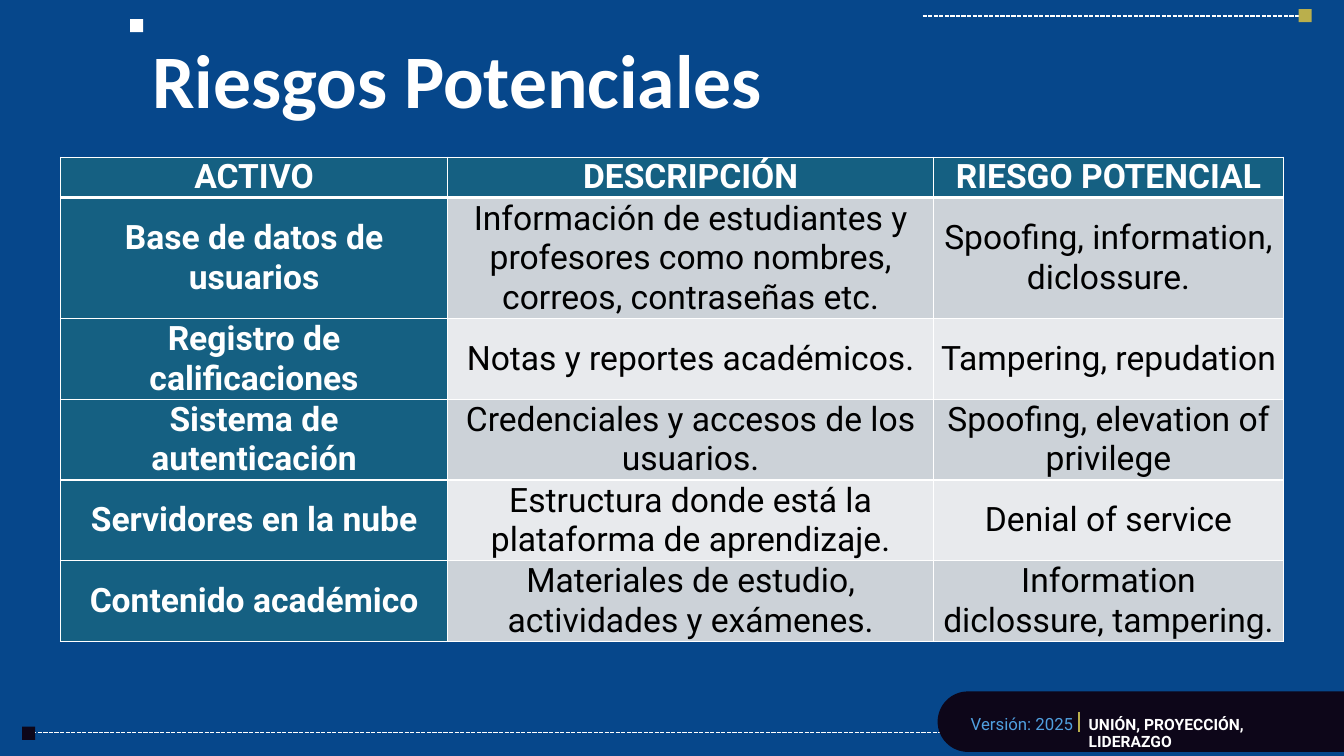
"""Builds the slide on potential risks of a learning platform."""
from math import cos, pi, sin

from lxml.etree import SubElement
from pptx import Presentation
from pptx.dml.color import RGBColor
from pptx.enum.dml import MSO_LINE
from pptx.enum.shapes import MSO_CONNECTOR, MSO_SHAPE
from pptx.enum.text import MSO_ANCHOR, MSO_AUTO_SIZE, PP_ALIGN
from pptx.oxml.ns import qn
from pptx.util import Inches, Pt

HUES = {
    "blue": "06478B", "white": "FFFFFF", "dark": "0D0619", "gold": "BAAF4C",
    "sky": "50A0E0", "teal": "156082", "odd": "CCD2D8", "even": "E8EAED",
    "black": "000000",
}
ROWS = [
    ("ACTIVO", "DESCRIPCIÓN", "RIESGO POTENCIAL"),
    ("Base de datos de usuarios",
     "Información de estudiantes y profesores como nombres, correos, contraseñas etc.",
     "Spoofing, information, diclossure."),
    ("Registro de calificaciones", "Notas y reportes académicos.",
     "Tampering, repudation"),
    ("Sistema de autenticación", "Credenciales y accesos de los usuarios.",
     "Spoofing, elevation of privilege"),
    ("Servidores en la nube", "Estructura donde está la plataforma de aprendizaje.",
     "Denial of service"),
    ("Contenido académico", "Materiales de estudio, actividades y exámenes.",
     "Information diclossure, tampering."),
]
WIDTHS = [3.84, 4.82, 3.47]
HEIGHTS = [0.39, 1.17] + [0.78] * 4


def hue(name):
    """Return the named colour."""
    return RGBColor.from_string(HUES[name])


def assign(item, values):
    """Set each attribute of the item from a dict."""
    for key, value in values.items():
        setattr(item, key, value)


def write(frame, text, size, color, face="Roboto", bold=False, **para):
    """Put one formatted paragraph in a text frame."""
    line = frame.paragraphs[0]
    line.text = text
    assign(line, para)
    font = line.runs[0].font
    assign(font, {"size": Pt(size), "name": face, "bold": bold})
    font.color.rgb = hue(color)


def paint(shape, color):
    """Give a shape a plain fill with no line or shadow."""
    shape.shadow.inherit = False
    shape.fill.solid()
    shape.fill.fore_color.rgb = hue(color)
    shape.line.fill.background()


def square(slide, left, top, color):
    """Add a small square mark."""
    box = [Inches(n) for n in (left, top, 0.13, 0.13)]
    paint(slide.shapes.add_shape(MSO_SHAPE.RECTANGLE, *box), color)


def rule(slide, ends, color, width, dash=None):
    """Add a straight line."""
    line = slide.shapes.add_connector(MSO_CONNECTOR.STRAIGHT, *map(Inches, ends))
    line.line.color.rgb = hue(color)
    assign(line.line, {"width": Pt(width), "dash_style": dash})
    SubElement(line._element.spPr, qn("a:effectLst"))


def panel(slide):
    """Add the footer panel with its round left end."""
    turns = [pi / 2 + pi * step / 32 for step in range(33)]
    arc = [(9.6 + 0.3 * cos(t), 7.16 - 0.3 * sin(t)) for t in turns]
    points = [(Inches(x), Inches(y)) for x, y in arc + [(13.33, 7.46)]]
    form = slide.shapes.build_freeform(Inches(13.33), Inches(6.86))
    form.add_line_segments(points)
    paint(form.convert_to_shape(), "dark")


def label(slide, box, *args, **kinds):
    """Add a wrapped text box."""
    frame = slide.shapes.add_textbox(*map(Inches, box)).text_frame
    frame.word_wrap = True
    write(frame, *args, line_spacing=0.9, **kinds)


def edge(cell, side, width):
    """Add a white border to one side of a cell."""
    props = cell._tc.get_or_add_tcPr()
    line = SubElement(props, qn(f"a:ln{side}"), w=str(Pt(width)))
    fill = SubElement(line, qn("a:solidFill"))
    SubElement(fill, qn("a:srgbClr"), val=HUES["white"])


def fill_cell(cell, text, row, col):
    """Format one cell by its place in the table."""
    head = row == 0 or col == 0
    thick = {(0, "B"), (1, "T")}
    for side in "LRTB":
        edge(cell, side, 3 if (row, side) in thick else 1)
    assign(cell, {
        "margin_left": Inches(0.07), "margin_right": Inches(0.07),
        "margin_top": 0, "margin_bottom": 0,
        "vertical_anchor": MSO_ANCHOR.MIDDLE,
    })
    cell.fill.solid()
    cell.fill.fore_color.rgb = hue("teal" if head else "odd" if row % 2 else "even")
    write(cell.text_frame, text, 24, "white" if head else "black", bold=head,
          alignment=PP_ALIGN.CENTER, space_after=Pt(8))


def risks(slide):
    """Add the table of assets and risks."""
    box = map(Inches, (0.6, 1.56, sum(WIDTHS), sum(HEIGHTS)))
    table = slide.shapes.add_table(len(ROWS), len(WIDTHS), *box).table
    for col, width in zip(table.columns, WIDTHS):
        col.width = Inches(width)
    for row, height in zip(table.rows, HEIGHTS):
        row.height = Inches(height)
    for row, texts in enumerate(ROWS):
        for col, text in enumerate(texts):
            fill_cell(table.cell(row, col), text, row, col)


def heading(slide):
    """Place and format the title."""
    title = slide.shapes.title
    places = zip(("left", "top", "width", "height"), (1.41, 0.05, 6.48, 1.24))
    assign(title, {key: Inches(n) for key, n in places})
    frame = title.text_frame
    assign(frame, {"auto_size": MSO_AUTO_SIZE.NONE, "word_wrap": True,
                   "vertical_anchor": MSO_ANCHOR.BOTTOM})
    write(frame, "Riesgos Potenciales", 54, "white", "Calibri", True,
          alignment=PP_ALIGN.LEFT, line_spacing=0.9)


def main():
    """Build and save the slide."""
    deck = Presentation()
    assign(deck, {"slide_width": Inches(13.33), "slide_height": Inches(7.5)})
    slide = deck.slides.add_slide(deck.slide_layouts[5])
    back = slide.background.fill
    back.solid()
    back.fore_color.rgb = hue("blue")
    square(slide, 1.29, 0.19, "white")
    rule(slide, (0.32, 7.27, 12.88, 7.27), "white", 1, MSO_LINE.SQUARE_DOT)
    square(slide, 0.22, 7.21, "dark")
    panel(slide)
    label(slide, (9.53, 7.05, 1.96, 0.33), "Versión: 2025", 12, "sky")
    label(slide, (10.7, 7.07, 2.53, 0.33), "UNIÓN, PROYECCIÓN, LIDERAZGO",
          11.1, "white", bold=True)
    rule(slide, (10.7, 7.06, 10.7, 7.26), "gold", 1.5)
    rule(slide, (9.15, 0.16, 12.95, 0.16), "white", 1, MSO_LINE.SQUARE_DOT)
    square(slide, 12.88, 0.09, "gold")
    heading(slide)
    risks(slide)
    deck.save("out.pptx")


if __name__ == "__main__":
    main()
